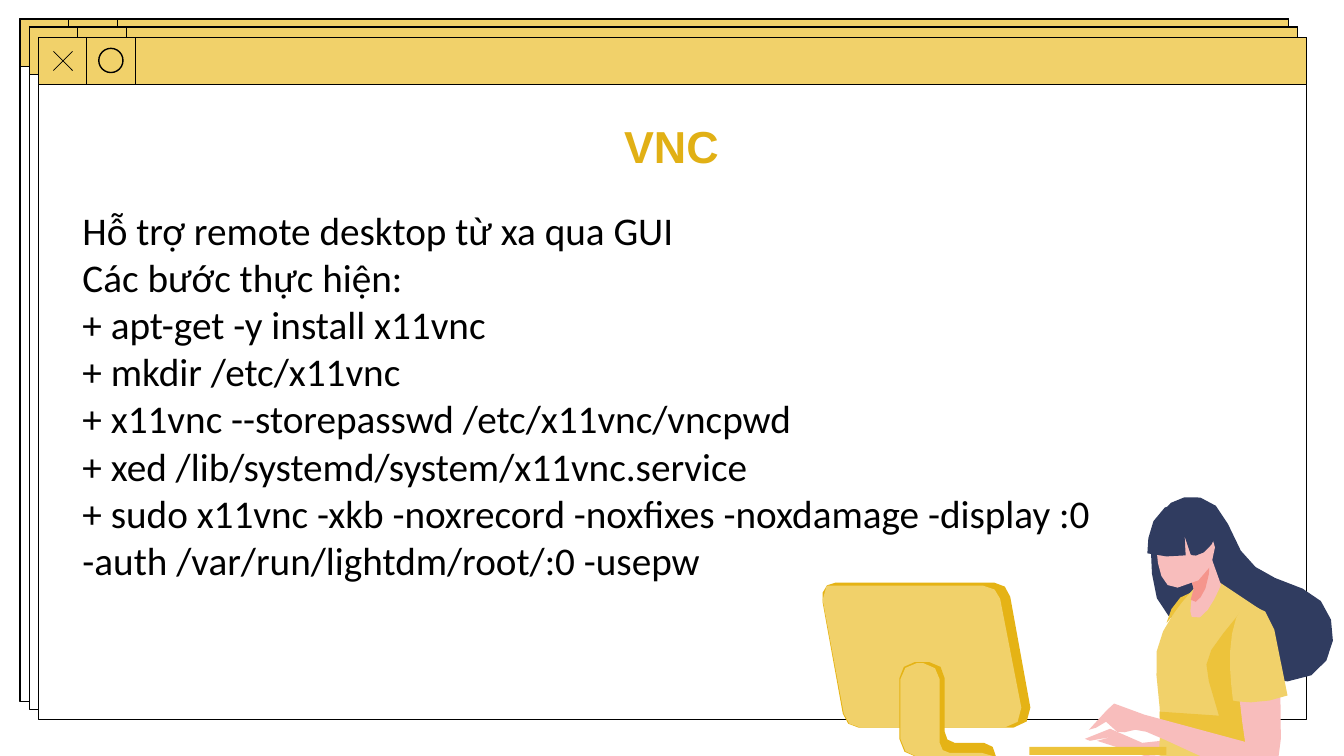
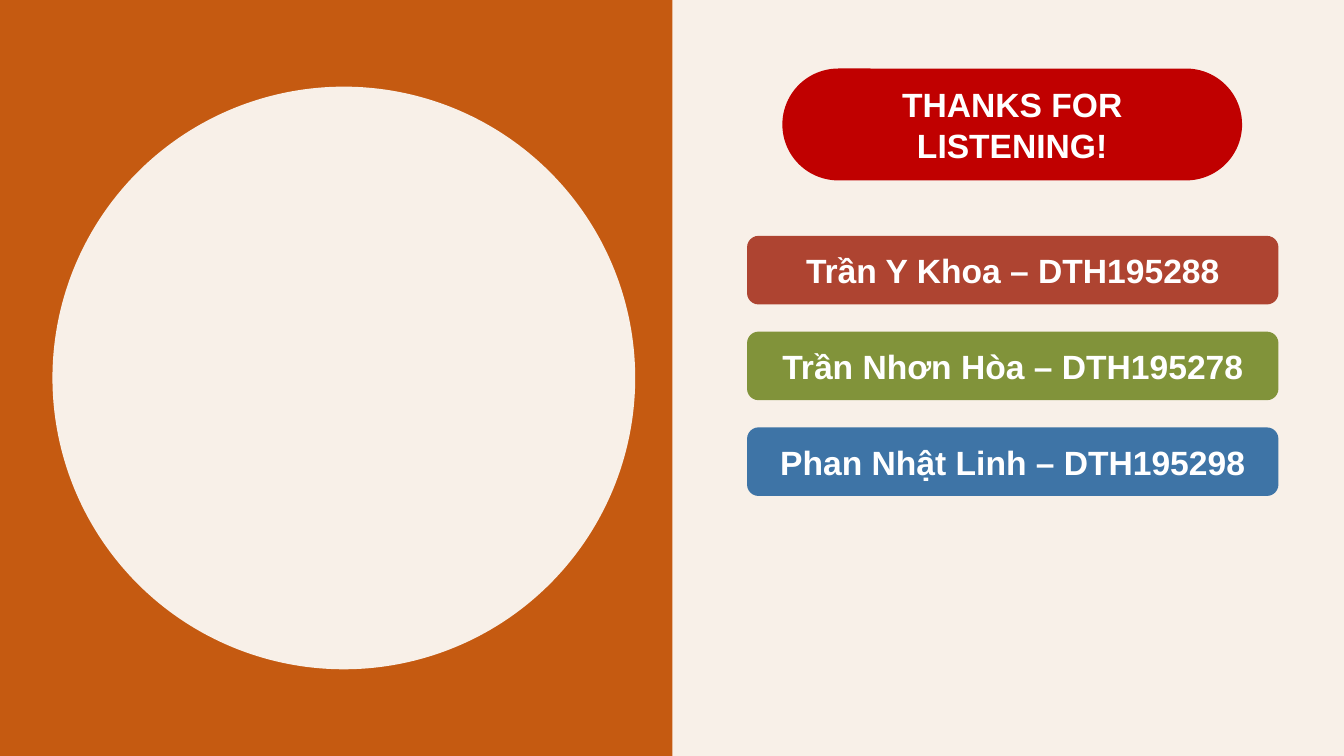
import math

import pptx
import pptx.util
import pptx.dml.color
import pptx.enum.shapes
import pptx.enum.text
import pptx.oxml.ns
import lxml.etree

Inches, Pt = pptx.util.Inches, pptx.util.Pt
RGBColor = pptx.dml.color.RGBColor
MSO = pptx.enum.shapes.MSO_SHAPE
ALIGN = pptx.enum.text.PP_ALIGN
ANCHOR = pptx.enum.text.MSO_ANCHOR

# Colours
BLACK, WHITE = RGBColor(0, 0, 0), RGBColor(255, 255, 255)
YELLOW = RGBColor(0xF1, 0xD1, 0x6A)
OCHRE = RGBColor(0xED, 0xC3, 0x3B)
GOLD = RGBColor(0xE5, 0xB3, 0x15)
TITLE_GOLD = RGBColor(0xE1, 0xB0, 0x15)
SKIN = RGBColor(0xF8, 0xBD, 0xBC)
BLUSH = RGBColor(0xF5, 0x95, 0x8C)
NAVY = RGBColor(0x30, 0x3C, 0x60)
ORANGE = RGBColor(0xC5, 0x5A, 0x11)
CREAM = RGBColor(0xF8, 0xF0, 0xE8)
RED = RGBColor(0xC0, 0, 0)
BRICK = RGBColor(0xAE, 0x44, 0x31)
OLIVE = RGBColor(0x81, 0x93, 0x3A)
BLUE = RGBColor(0x3E, 0x74, 0xA6)

# Text styles
TITLE = {"size": Pt(32), "name": "Arial", "bold": True}
BODY = {"size": Pt(28), "name": "Calibri"}
LABEL = {"size": Pt(24), "name": "Arial", "bold": True}

# Content
VNC_TITLE = "VNC"
VNC_STEPS = [
    "Hỗ trợ remote desktop từ xa qua GUI",
    "Các bước thực hiện:",
    "+ apt-get -y install x11vnc",
    "+ mkdir /etc/x11vnc",
    "+ x11vnc --storepasswd /etc/x11vnc/vncpwd",
    "+ xed /lib/systemd/system/x11vnc.service",
    "+ sudo x11vnc -xkb -noxrecord -noxfixes -noxdamage -display :0 "
    "-auth /var/run/lightdm/root/:0 -usepw",
]
THANKS = "THANKS FOR LISTENING!"
MEMBERS = [
    ("Trần Y Khoa – DTH195288", BRICK),
    ("Trần Nhơn Hòa – DTH195278", OLIVE),
    ("Phan Nhật Linh – DTH195298", BLUE),
]

# Stacked windows, back to front
WINDOWS = [(0.2, 0.19), (0.29, 0.27), (0.38, 0.37)]
WIN_W, WIN_H, BAR_H, BUTTON_W = 12.58, 6.77, 0.47, 0.48

# Illustration outlines in inches: M move, L line, C cubic curve
FAR_HAND = """M 11.61 7.34 L 11.33 7.37 L 11.01 7.23 L 10.76 7.33
    L 10.81 7.35 L 11.03 7.31 L 10.88 7.35 L 11.35 7.5 L 11.59 7.49"""
LONG_HAIR = """M 11.41 5.35 C 11.42 5.75 11.43 5.96 11.59 6.11
    C 11.74 6.26 12.14 6.2 12.14 6.2 C 12.14 6.2 12.21 6.77 12.77 6.76
    C 13.33 6.75 13.36 6 12.92 5.84 C 12.49 5.68 12.35 5.64 12.18 5.2
    C 12.02 4.8 11.61 4.91 11.53 5.08 L 11.41 5.35"""
FAR_SLEEVE = "M 11.83 5.87 C 11.69 5.89 11.6 6.04 11.57 6.18"
SHIRT = """M 12.07 5.76 L 12.49 6.04
    C 12.63 6.13 12.43 7.1 12.38 7.46 C 12.33 7.81 11.49 7.49 11.49 7.49
    C 11.49 7.49 11.54 7.19 11.47 6.7 C 11.42 6.35 11.61 6.13 11.72 5.98
    C 12 5.6 12.07 5.76 12.07 5.76"""
SHIRT_SHADE = """M 12.33 6.04 C 12.02 6.43 11.91 6.5 11.99 6.76
    L 12.09 7.1 L 11.5 7.06 L 11.51 7.28
    C 11.51 7.28 11.98 7.51 12.2 7.55 L 12.58 7.55"""
NECK = """M 11.96 5.38 L 12.11 5.8 C 12.11 5.8 11.95 6.22 11.82 6.12
    C 11.78 6.09 11.84 5.84 11.84 5.84 L 11.74 5.5"""
NECK_SHADE = """M 11.84 5.84 L 11.74 5.5 L 11.96 5.38 L 12 5.48
    C 12.01 5.82 11.92 5.93 11.86 5.97 L 11.81 5.95"""
NEAR_ARM = """M 12.48 6.18 C 12.67 6.23 12.66 6.49 12.7 6.94
    C 12.73 7.39 12.67 7.67 12.62 7.72 C 12.52 7.83 11.68 7.38 11.37 7.26
    L 11.26 7.24 C 11.16 7.24 11.13 7.3 11.08 7.26 L 10.97 7.16
    L 10.87 7.22 L 10.8 7.24 C 10.85 7.19 11.01 7 11.05 6.98
    L 11.35 7.09 L 12.35 7.36 C 12.35 7.36 12.26 6.84 12.29 6.58
    C 12.32 6.32 12.41 6.16 12.48 6.18"""
NEAR_SLEEVE = """M 12.39 5.99 C 12.51 6 12.61 6.1 12.64 6.25
    L 12.77 6.9 L 12.59 6.95 C 12.39 6.99 12.23 6.95 12.23 6.95
    C 12.23 6.95 12.19 6.67 12.2 6.47 C 12.21 6.28 12.25 6.1 12.32 6.03"""
FACE = """M 11.47 5.44 C 11.48 5.63 11.52 5.85 11.68 5.83
    C 11.92 5.81 12.06 5.61 12.05 5.43 C 12.04 5.24 11.9 5.1 11.74 5.12
    C 11.59 5.13 11.46 5.26 11.47 5.44"""
FRINGE = """M 11.73 4.98 C 11.52 4.98 11.41 5.17 11.39 5.34
    L 11.38 5.49 L 11.57 5.52 L 11.76 5.51 L 11.75 5.32 L 11.81 5.5
    C 11.81 5.5 11.84 5.54 11.94 5.48 C 12.04 5.43 12.07 5.26 12.07 5.26
    C 12.07 5.26 12.09 5.15 12.01 5.08 C 11.92 5.02 11.73 4.98 11.73 4.98"""
MONITOR_EDGE = """M 10.05 7.22 L 8.52 7.22 C 8.44 7.22 8.37 7.16 8.36 7.08
    L 8.16 5.98 C 8.14 5.87 8.18 5.78 8.29 5.78 L 9.86 5.78
    C 9.94 5.78 10.01 5.84 10.02 5.92 L 10.22 7.02
    C 10.24 7.12 10.16 7.22 10.05 7.22"""
MONITOR_BACK = """M 10.13 7.02 L 9.92 5.94 C 9.91 5.87 9.84 5.81 9.75 5.81
    L 8.2 5.81 L 8.16 5.95 L 8.37 7.08 C 8.38 7.16 8.45 7.22 8.54 7.22
    L 9.96 7.22 C 10.07 7.22 10.15 7.13 10.13 7.02"""
STAND_EDGE = """M 9.76 7.37 L 9.47 7.37 C 9.41 7.37 9.37 7.32 9.37 7.26
    L 9.37 6.73 C 9.37 6.64 9.31 6.57 9.22 6.57 L 9.07 6.57
    C 8.99 6.57 8.92 6.64 8.92 6.73 L 8.92 7.33 C 8.92 7.43 9 7.51 9.09 7.51
    L 9.88 7.51 C 9.88 7.43 9.83 7.37 9.76 7.37"""
STAND = """M 8.93 6.74 L 8.93 7.33 C 8.93 7.43 9.01 7.5 9.1 7.51
    L 9.88 7.51 L 9.74 7.47 L 9.42 7.47 C 9.37 7.47 9.32 7.43 9.32 7.37
    L 9.32 6.74 C 9.32 6.66 9.25 6.58 9.16 6.58 L 9.09 6.58
    C 9.01 6.58 8.93 6.65 8.93 6.74"""
WOMAN = [
    (FAR_HAND, SKIN), (LONG_HAIR, NAVY), (FAR_SLEEVE, OCHRE),
    (SHIRT, YELLOW), (SHIRT_SHADE, OCHRE), (NECK, SKIN),
    (NECK_SHADE, BLUSH), (NEAR_ARM, SKIN), (NEAR_SLEEVE, YELLOW),
    (FACE, SKIN), (FRINGE, NAVY),
]
COMPUTER = [
    (MONITOR_EDGE, GOLD), (MONITOR_BACK, YELLOW),
    (STAND_EDGE, GOLD), (STAND, YELLOW),
]
CURVE_TOLERANCE = 0.02


def add_slide(prs, background):
    slide = prs.slides.add_slide(prs.slide_layouts[6])
    slide.background.fill.solid()
    slide.background.fill.fore_color.rgb = background
    return slide


def paint(sp, fill=None, line=None):
    sp.shadow.inherit = False
    if fill is None:
        sp.fill.background()
    else:
        sp.fill.solid()
        sp.fill.fore_color.rgb = fill
    if line is None:
        sp.line.fill.background()
    else:
        sp.line.color.rgb = line
        sp.line.width = Pt(1)


def add_box(slide, kind, box, fill=None, line=None):
    sp = slide.shapes.add_shape(kind, *map(Inches, box))
    paint(sp, fill, line)
    return sp


def add_line(slide, x1, y1, x2, y2):
    ln = slide.shapes.add_connector(
        pptx.enum.shapes.MSO_CONNECTOR.STRAIGHT, *map(Inches, (x1, y1, x2, y2)))
    ln.line.color.rgb = BLACK
    ln.line.width = Pt(0.5)
    lxml.etree.SubElement(ln._element.spPr, pptx.oxml.ns.qn("a:effectLst"))


def set_text(sp, lines, style, color, align=ALIGN.LEFT, anchor=ANCHOR.TOP):
    tf = sp.text_frame
    tf.word_wrap = True
    tf.vertical_anchor = anchor
    for i, text in enumerate(lines):
        p = tf.add_paragraph() if i else tf.paragraphs[0]
        p.alignment = align
        r = p.add_run()
        r.text = text
        for name, value in style.items():
            setattr(r.font, name, value)
        r.font.color.rgb = color


def add_label(slide, box, text, fill):
    sp = add_box(slide, MSO.ROUNDED_RECTANGLE, box, fill)
    set_text(sp, [text], LABEL, WHITE, ALIGN.CENTER, ANCHOR.MIDDLE)
    return sp


def curve_points(ends):
    """Sample a cubic curve just finely enough for the tolerance."""
    bend = max(math.hypot(*(a[k] - 2 * b[k] + c[k] for k in (0, 1)))
               for a, b, c in zip(ends, ends[1:], ends[2:]))
    steps = max(1, math.ceil(math.sqrt(0.75 * bend / CURVE_TOLERANCE)))
    for step in range(1, steps + 1):
        t = step / steps
        u = 1 - t
        weights = (u ** 3, 3 * u * u * t, 3 * u * t * t, t ** 3)
        yield tuple(sum(w * pt[k] for w, pt in zip(weights, ends))
                    for k in (0, 1))


def outline_points(outline):
    points, nums = [], []
    for token in outline.split():
        if token in "MLC":
            command = token
            continue
        nums.append(float(token))
        if len(nums) < (6 if command == "C" else 2):
            continue
        pairs = list(zip(nums[::2], nums[1::2]))
        nums = []
        points += curve_points([points[-1]] + pairs) if command == "C" else pairs
    return points


def add_outline(slide, outline, fill):
    points = [(Inches(x), Inches(y)) for x, y in outline_points(outline)]
    builder = slide.shapes.build_freeform(*points[0], scale=1.0)
    builder.add_line_segments(points[1:], close=True)
    paint(builder.convert_to_shape(), fill)


def add_window(slide, x, y):
    for height, fill in ((WIN_H, WHITE), (BAR_H, YELLOW)):
        add_box(slide, MSO.RECTANGLE, (x, y, WIN_W, height), fill, BLACK)
    for i in (1, 2):
        edge = x + i * BUTTON_W
        add_line(slide, edge, y, edge, y + BAR_H)


def build_vnc(prs):
    slide = add_slide(prs, WHITE)
    for x, y in WINDOWS:
        add_window(slide, x, y)
    # Buttons of the front window
    left, right, top, bottom = x + 0.15, x + 0.34, y + 0.14, y + 0.33
    add_line(slide, left, top, right, bottom)
    add_line(slide, right, top, left, bottom)
    add_box(slide, MSO.OVAL, (x + 0.6, y + 0.11, 0.24, 0.24), line=BLACK)
    # Woman at a computer
    for outline, fill in WOMAN + COMPUTER:
        add_outline(slide, outline, fill)
    add_box(slide, MSO.RECTANGLE, (10.21, 7.41, 1.36, 0.08), OCHRE)
    # Text
    body = slide.shapes.add_textbox(*map(Inches, (0.72, 2, 10.6, 4.17)))
    set_text(body, VNC_STEPS, BODY, BLACK)
    title = slide.shapes.add_textbox(*map(Inches, (2.91, 1.13, 7.5, 0.64)))
    set_text(title, [VNC_TITLE], TITLE, TITLE_GOLD, ALIGN.CENTER)


def build_thanks(prs):
    slide = add_slide(prs, ORANGE)
    add_box(slide, MSO.RECTANGLE, (6.67, 0, 6.66, 7.5), CREAM)
    add_box(slide, MSO.OVAL, (0.52, 0.86, 5.78, 5.78), CREAM)
    for i, (text, fill) in enumerate(MEMBERS):
        add_label(slide, (7.41, 2.34 + i * 0.95, 5.27, 0.68), text, fill)
    pill = add_label(slide, (7.76, 0.68, 4.56, 1.11), THANKS, RED)
    pill.adjustments[0] = 0.5


def main():
    prs = pptx.Presentation()
    prs.slide_width, prs.slide_height = Inches(13.33), Inches(7.5)
    build_vnc(prs)
    build_thanks(prs)
    prs.save("out.pptx")


if __name__ == "__main__":
    main()
